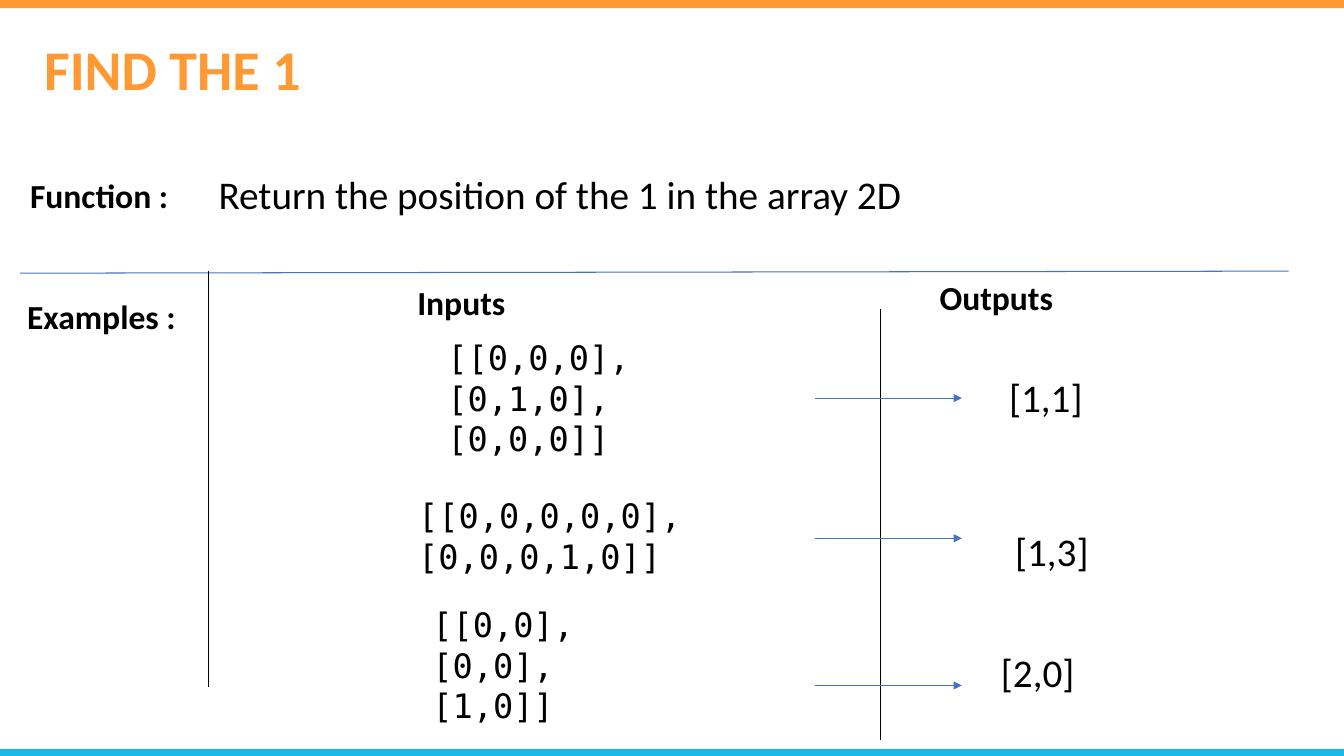
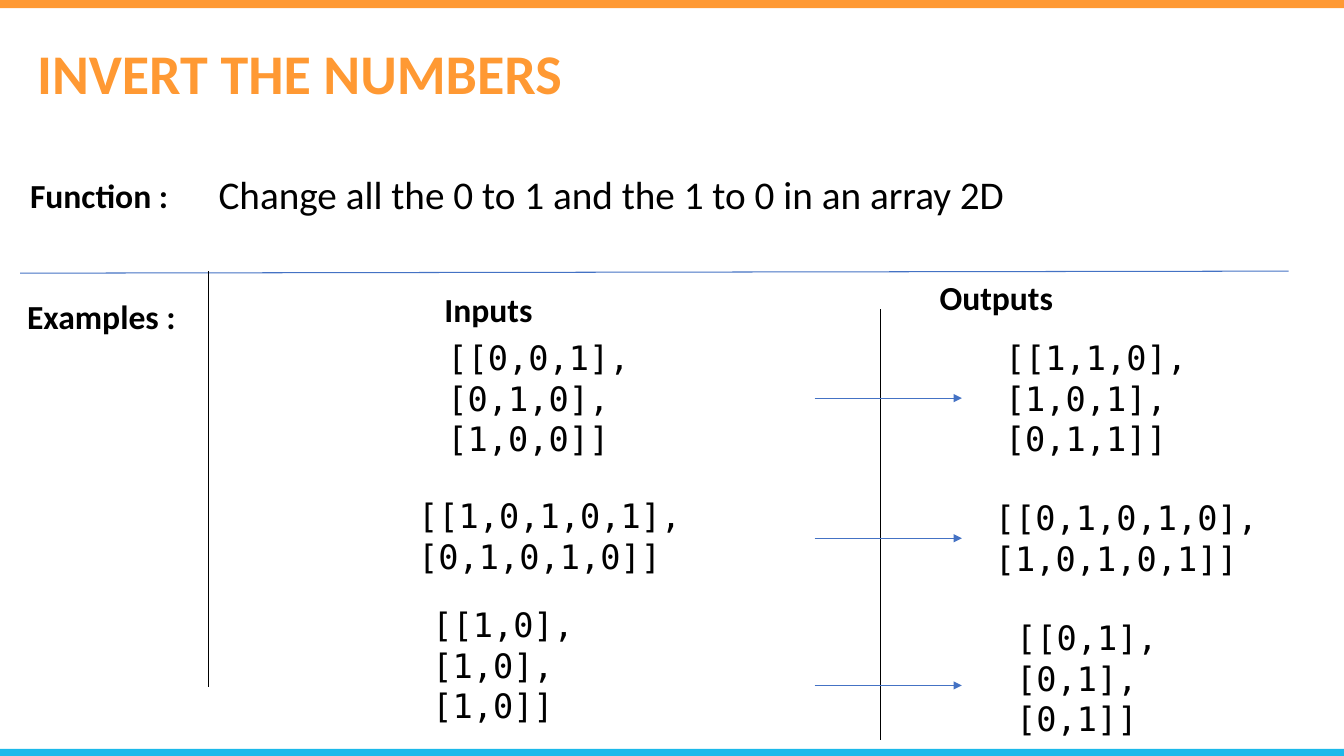
from dataclasses import dataclass

from lxml import etree
from pptx import Presentation
from pptx.dml.color import RGBColor
from pptx.enum.shapes import MSO_CONNECTOR, MSO_SHAPE
from pptx.enum.text import MSO_ANCHOR, MSO_AUTO_SIZE, PP_ALIGN
from pptx.oxml.ns import qn
from pptx.util import Emu, Pt

RECT = MSO_SHAPE.RECTANGLE
LINE = MSO_CONNECTOR.STRAIGHT
TOP = MSO_ANCHOR.TOP
FIT = MSO_AUTO_SIZE.SHAPE_TO_FIT_TEXT
LEFT = PP_ALIGN.LEFT

UNIT = 9144  # EMU in one px, 100 px to the inch
WIDE, HIGH = 1333, 750


@dataclass(frozen=True)
class Theme:
    brand: str = "FF9933"
    foot: str = "1BB9EA"
    rule: str = "4472C4"
    ink: str = "000000"
    sans: str = "Calibri"
    mono: str = "DejaVu Sans Mono"
    title: int = 40
    body: int = 28
    small: int = 24
    pitch: int = 29
    stroke: float = 0.75
    indent: int = 50


def px(n):
    return Emu(n * UNIT)


def rgb(code):
    return RGBColor.from_string(code)


def write(frame, text, *, size, font, color, bold=False, indent=0, pitch=None):
    """Fill a text frame, one paragraph for each line of text."""
    for i, line in enumerate(text.split("\n")):
        para = frame.add_paragraph() if i else frame.paragraphs[0]
        para.alignment = LEFT
        if pitch:
            para.line_spacing = Pt(pitch)
        if indent:
            para.level = 1
            props = para._p.get_or_add_pPr()
            props.set("marL", str(px(indent)))
            props.set("indent", "0")
        run = para.add_run()
        run.text = line
        run.font.size = Pt(size)
        run.font.name = font
        run.font.bold = bold
        run.font.color.rgb = rgb(color)


class Deck:
    def __init__(self, theme):
        self.theme = theme
        self.prs = Presentation()
        self.prs.slide_width, self.prs.slide_height = px(WIDE), px(HIGH)
        self.slide = None

    def page(self):
        self.slide = self.prs.slides.add_slide(self.prs.slide_layouts[6])
        self.band(0, 8, self.theme.brand)
        self.band(743, 7, self.theme.foot)

    def band(self, y, h, color):
        bar = self.slide.shapes.add_shape(RECT, px(0), px(y), px(WIDE), px(h))
        bar.shadow.inherit = False
        bar.fill.solid()
        bar.fill.fore_color.rgb = rgb(color)
        bar.line.fill.background()

    def text(self, x, y, w, h, words, **style):
        box = self.slide.shapes.add_textbox(px(x), px(y), px(w), px(h))
        frame = box.text_frame
        frame.word_wrap = True
        frame.auto_size = FIT
        frame.vertical_anchor = TOP
        base = dict(size=self.theme.small, font=self.theme.sans,
                    color=self.theme.ink)
        write(frame, words, **(base | style))

    def title(self, x, y, w, words):
        self.text(x, y, w, 77, words, size=self.theme.title,
                  color=self.theme.brand, bold=True)

    def label(self, x, y, w, words):
        self.text(x, y, w, 50, words, bold=True)

    def value(self, x, y, w, words):
        self.text(x, y, w, 57, words, size=self.theme.body)

    def code(self, x, y, w, words):
        rows = words.count("\n") + 1
        self.text(x, y, w, 10 + 40 * rows, words, font=self.theme.mono,
                  indent=self.theme.indent, pitch=self.theme.pitch)

    def line(self, x1, y1, x2, y2, color, arrow=False):
        rule = self.slide.shapes.add_connector(
            LINE, px(x1), px(y1), px(x2), px(y2))
        rule.line.color.rgb = rgb(color)
        rule.line.width = Pt(self.theme.stroke)
        if arrow:
            tail = etree.SubElement(rule.line._get_or_add_ln(), qn("a:tailEnd"))
            tail.set("type", "triangle")
        etree.SubElement(rule._element.spPr, qn("a:effectLst"))

    def task(self, title, goal, inputs):
        """Lay out the frame that every exercise shares."""
        look = self.theme
        self.page()
        self.title(*title)

        # Goal
        self.label(20, 169, 204, "Function :")
        self.value(207, 164, 1114, goal)

        # Grid and headings
        self.line(20, 271, 1278, 269, look.rule)
        self.line(207, 269, 207, 682, look.ink)
        self.line(873, 307, 873, 734, look.ink)
        self.label(17, 289, 207, "Examples :")
        self.label(*inputs, 238, "Inputs")
        self.label(922, 270, 309, "Outputs")

        # Arrows from input to output
        for y in (395, 534, 680):
            self.line(808, y, 954, y, look.rule, arrow=True)

    def cases(self, spots, words, draw):
        for spot, item in zip(spots, words):
            draw(*spot, item)


# Left, top and width of each example
INPUTS = ((384, 329, 283), (355, 486, 357), (369, 594, 357))
POINTS = ((991, 365, 104), (997, 518, 104), (983, 638, 104))
ARRAYS = ((937, 329, 283), (927, 488, 357), (948, 607, 357))


def main():
    deck = Deck(Theme())

    # Find the 1
    deck.task((34, 29, 277, "FIND THE 1"),
              "Return the position of the 1 in the array 2D", (404, 275))
    deck.cases(INPUTS, ("[[0,0,0],\n[0,1,0],\n[0,0,0]]",
                        "[[0,0,0,0,0],\n[0,0,0,1,0]]",
                        "[[0,0],\n[0,0],\n[1,0]]"), deck.code)
    deck.cases(POINTS, ("[1,1]", "[1,3]", "[2,0]"), deck.value)

    # Invert the numbers
    deck.task((27, 33, 546, "INVERT THE NUMBERS"),
              "Change all the 0 to 1 and the 1 to 0 in an array 2D", (431, 282))
    deck.cases(INPUTS, ("[[0,0,1],\n[0,1,0],\n[1,0,0]]",
                        "[[1,0,1,0,1],\n[0,1,0,1,0]]",
                        "[[1,0],\n[1,0],\n[1,0]]"), deck.code)
    deck.cases(ARRAYS, ("[[1,1,0],\n[1,0,1],\n[0,1,1]]",
                        "[[0,1,0,1,0],\n[1,0,1,0,1]]",
                        "[[0,1],\n[0,1],\n[0,1]]"), deck.code)

    deck.prs.save("out.pptx")


if __name__ == "__main__":
    main()
